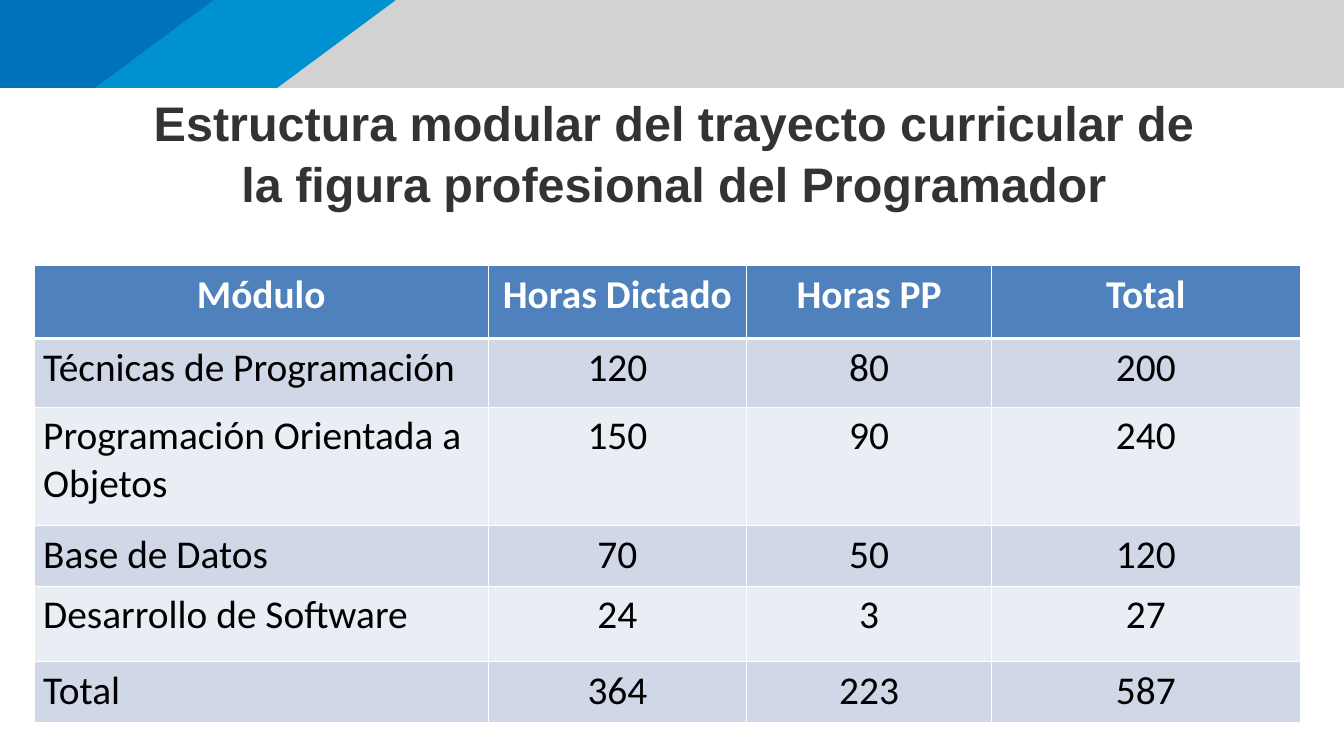
from lxml import etree
from pptx import Presentation
from pptx import util as u
from pptx.dml.color import RGBColor
from pptx.enum import text
from pptx.oxml import ns

WHITE = RGBColor(0xFF, 0xFF, 0xFF)
BLACK = RGBColor(0, 0, 0)
CHARCOAL = RGBColor(0x33, 0x33, 0x33)
GREY = RGBColor(0xD2, 0xD2, 0xD3)
SKY = RGBColor(0x00, 0x91, 0xD1)
DEEP_BLUE = RGBColor(0x00, 0x71, 0xBB)
HEADER_BLUE = RGBColor(0x4F, 0x81, 0xBD)
ROW_TINTS = (RGBColor(0xE9, 0xED, 0xF4), RGBColor(0xD0, 0xD8, 0xE8))

# Band outlines: top edge, width at the top, width at the foot (% of slide), colour
BANDS = [
    (0, 100, 100, GREY),
    (0, 29.43, 20.57, SKY),
    (0.09, 29.38, 20.62, SKY),
    (0, 15.88, 7.07, DEEP_BLUE),
]
BAND_FOOT = 11.62

TITLE = "Estructura modular del trayecto curricular de la figura profesional del Programador"

HOURS = [
    ("Módulo", "Horas Dictado", "Horas PP", "Total"),
    ("Técnicas de Programación", "120", "80", "200"),
    ("Programación Orientada a Objetos", "150", "90", "240"),
    ("Base de Datos", "70", "50", "120"),
    ("Desarrollo de Software", "24", "3", "27"),
    ("Total", "364", "223", "587"),
]
COLUMN_SHARES = (33.81, 19.2, 18.25, 22.94)
ROW_SHARES = (9.65, 9.09, 15.65, 7.97, 10.03, 7.97)


class Deck:
    """Holds the style and the current slide; lengths are percentages of it."""

    title_font, table_font = "Arial", "Calibri"
    title_size, table_size = 49.3, 40

    def __init__(self, width, height):
        self.prs = Presentation()
        self.prs.slide_width, self.prs.slide_height = u.Inches(width), u.Inches(height)
        self.slide = self.prs.slides.add_slide(self.prs.slide_layouts[6])

    def x(self, share):
        return round(self.prs.slide_width * share / 100)

    def y(self, share):
        return round(self.prs.slide_height * share / 100)

    def band(self, top, top_width, foot_width, colour):
        head, foot = self.y(top), self.y(BAND_FOOT)
        outline = self.slide.shapes.build_freeform(0, head)
        outline.add_line_segments(
            [(self.x(top_width), head), (self.x(foot_width), foot), (0, foot)])
        band = outline.convert_to_shape()
        band.shadow.inherit = False
        band.fill.solid()
        band.fill.fore_color.rgb = colour
        band.line.fill.background()

    def add_words(self, paragraph, words, font, size, colour, bold, centred=True):
        paragraph.alignment = text.PP_ALIGN.CENTER if centred else text.PP_ALIGN.LEFT
        run = paragraph.add_run()
        run.text = words
        run.font.name, run.font.size = font, u.Pt(size)
        run.font.bold, run.font.color.rgb = bold, colour

    def title(self, words, left, top, width, height):
        box = self.slide.shapes.add_textbox(
            self.x(left), self.y(top), self.x(width), self.y(height))
        frame = box.text_frame
        frame.word_wrap = True
        frame.vertical_anchor = text.MSO_ANCHOR.BOTTOM
        frame.margin_left = frame.margin_right = frame.margin_top = frame.margin_bottom = 0
        frame.paragraphs[0].line_spacing = 1.04
        self.add_words(frame.paragraphs[0], words, self.title_font, self.title_size,
                       CHARCOAL, True)

    def borders(self, cell, top, bottom):
        properties = cell._tc.get_or_add_tcPr()
        widths = {"lnL": 1, "lnR": 1, "lnT": top, "lnB": bottom}
        for place, (side, width) in enumerate(widths.items()):
            edge = etree.Element(ns.qn(f"a:{side}"), w=str(u.Pt(width)))
            fill = etree.SubElement(edge, ns.qn("a:solidFill"))
            etree.SubElement(fill, ns.qn("a:srgbClr"), val=str(WHITE))
            properties.insert(place, edge)

    def table(self, rows, left, top, column_shares, row_shares):
        table = self.slide.shapes.add_table(
            len(rows), len(column_shares), self.x(left), self.y(top),
            self.x(sum(column_shares)), self.y(sum(row_shares))).table
        for column, share in zip(table.columns, column_shares):
            column.width = self.x(share)
        for row, share in zip(table.rows, row_shares):
            row.height = self.y(share)
        for r, row in enumerate(rows):
            header = r == 0
            for c, words in enumerate(row):
                cell = table.cell(r, c)
                cell.margin_left = cell.margin_right = u.Inches(0.13)
                cell.margin_top = cell.margin_bottom = u.Inches(0.07)
                cell.fill.solid()
                cell.fill.fore_color.rgb = HEADER_BLUE if header else ROW_TINTS[r % 2]
                self.borders(cell, top=3 if r == 1 else 1, bottom=3 if header else 1)
                self.add_words(cell.text_frame.paragraphs[0], words, self.table_font,
                               self.table_size, WHITE if header else BLACK, header,
                               centred=header or c > 0)


def main():
    deck = Deck(18.96, 10.67)

    # Top banner
    for band in BANDS:
        deck.band(*band)

    # Heading
    deck.title(TITLE, 10.92, 12.46, 78.53, 15.56)

    # Hours per module
    deck.table(HOURS, 2.53, 35.15, COLUMN_SHARES, ROW_SHARES)

    deck.prs.save("out.pptx")


if __name__ == "__main__":
    main()
